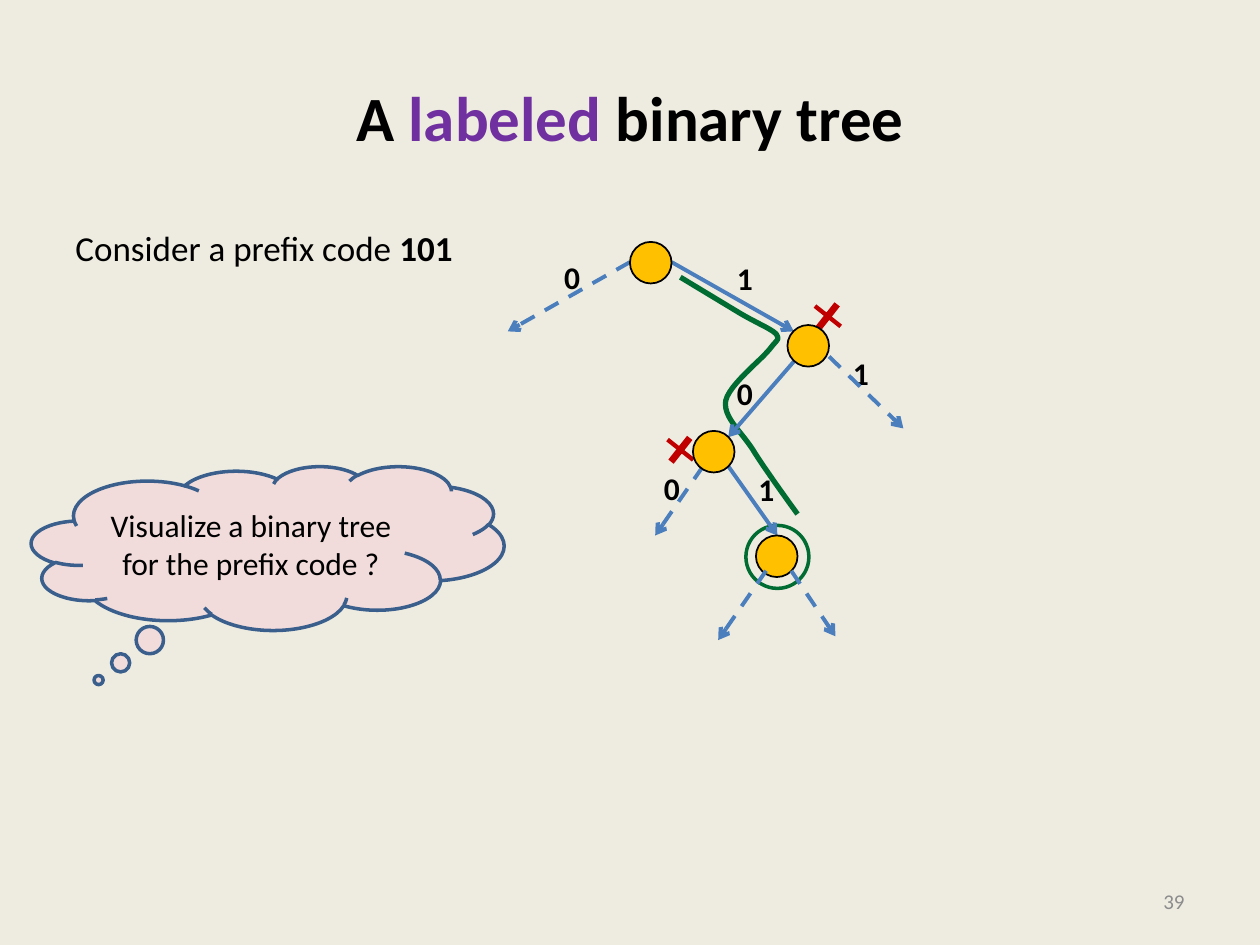
from lxml.etree import SubElement
from pptx import Presentation
from pptx.dml.color import RGBColor
from pptx.enum.dml import MSO_LINE
from pptx.enum.shapes import MSO_CONNECTOR, MSO_SHAPE
from pptx.enum.text import MSO_ANCHOR, PP_ALIGN
from pptx.oxml.ns import qn
from pptx.util import Inches, Pt

THEME = {
    "font": "Calibri", "background": "EEECE1", "text": "000000", "accent": "7030A0",
    "muted": "8C8C8C", "route": "006C31", "cross": "C00000", "edge": "4B7EBC",
    "node": "FFC000", "cloud": "F2DCDB", "cloud_line": "3A5F8C",
    "title_size": 36, "body_size": 20, "label_size": 18, "number_size": 12,
}


def write_text(shape, runs, size, align=PP_ALIGN.LEFT, anchor=MSO_ANCHOR.TOP, wrap=True):
    """Each run is (text, colour name, bold)."""
    frame = shape.text_frame
    frame.word_wrap = wrap
    frame.vertical_anchor = anchor
    paragraph = frame.paragraphs[0]
    paragraph.alignment = align
    for text, color, bold in runs:
        run = paragraph.add_run()
        run.text = text
        run.font.color.rgb = RGBColor.from_string(THEME[color])
        values = {"name": THEME["font"], "size": Pt(THEME[size]), "bold": bold}
        for name, value in values.items():
            setattr(run.font, name, value)
    return paragraph


def paint(shape, fill=None, line=None, width=0):
    shape.shadow.inherit = False
    for target, color in ((shape.fill, fill), (shape.line.fill, line)):
        if color:
            target.solid()
            target.fore_color.rgb = RGBColor.from_string(THEME[color])
        else:
            target.background()
    if line:
        shape.line.width = Pt(width)


presentation = Presentation()
presentation.slide_width, presentation.slide_height = Inches(10), Inches(7.5)
slide = presentation.slides.add_slide(presentation.slide_layouts[6])
slide.background.fill.solid()
slide.background.fill.fore_color.rgb = RGBColor.from_string(THEME["background"])
shapes = slide.shapes

# Title, body and slide number
title = shapes.add_textbox(Inches(0.5), Inches(0.3), Inches(9), Inches(1.25))
write_text(title, [("A ", "text", True), ("labeled", "accent", True),
                   (" binary tree", "text", True)],
           "title_size", PP_ALIGN.CENTER, MSO_ANCHOR.MIDDLE)
body = shapes.add_textbox(Inches(0.5), Inches(1.75), Inches(9), Inches(4.95))
paragraph = write_text(body, [("Consider a prefix code ", "text", False),
                              ("101", "text", True)], "body_size")
paragraph.space_before = Pt(4)
number = shapes.add_textbox(Inches(7.17), Inches(6.95), Inches(2.33), Inches(0.4))
write_text(number, [("39", "muted", False)], "number_size",
           PP_ALIGN.RIGHT, MSO_ANCHOR.MIDDLE)

# Route of the code: Bezier segments sampled into short steps
route_start = (5.4, 2.2)
route_curves = [
    ((6, 2.56), (6.12, 2.61), (6.16, 2.65)),
    ((6.19, 2.7), (6.17, 2.69), (6.11, 2.77)),
    ((6.04, 2.86), (5.79, 3.05), (5.76, 3.18)),
    ((5.74, 3.31), (5.87, 3.41), (5.97, 3.56)),
    ((6.06, 3.71), (6.33, 4.08), (6.33, 4.08)),
]
STEPS = 12
points = [(5.88, 2.49)]
for curve in route_curves:
    corners = (points[-1], *curve)
    for step in range(1, STEPS + 1):
        t = step / STEPS
        weights = ((1 - t) ** 3, 3 * t * (1 - t) ** 2, 3 * t ** 2 * (1 - t), t ** 3)
        points.append(tuple(sum(w * corner[axis] for w, corner in zip(weights, corners))
                            for axis in (0, 1)))
builder = shapes.build_freeform(Inches(route_start[0]), Inches(route_start[1]))
builder.add_line_segments([(Inches(x), Inches(y)) for x, y in points], close=False)
paint(builder.convert_to_shape(), line="route", width=3)

# Ring around the leaf
ring = shapes.add_shape(MSO_SHAPE.OVAL, Inches(5.92), Inches(4.17), Inches(0.5), Inches(0.5))
paint(ring, line="route", width=2)

# Crosses beside the inner nodes
for left, top in ((5.27, 3.45), (6.44, 2.39)):
    cross = shapes.add_shape(MSO_SHAPE.CROSS, Inches(left), Inches(top),
                             Inches(0.26), Inches(0.24))
    cross.adjustments[0] = 0.428
    cross.rotation = 38.3
    paint(cross, fill="cross")

# Edge labels
for bit, left, top in (("0", 4.38, 2), ("1", 5.75, 2.01), ("0", 5.75, 2.92),
                       ("0", 5.17, 3.67), ("1", 6.67, 2.76), ("1", 5.92, 3.68)):
    label = shapes.add_textbox(Inches(left), Inches(top), Inches(0.33), Inches(0.4))
    write_text(label, [(bit, "text", True)], "label_size", wrap=False)


# Edges, then the nodes above them, then the remaining edges
solid_edges = [(5.78, 3.7, 6.17, 4.25), (6.3, 2.87, 5.78, 3.47), (5.33, 2.08, 6.3, 2.63)]
lower_dashed = [(5, 2.08, 4.03, 2.63), (5.58, 3.7, 5.2, 4.25)]
upper_dashed = [(6.58, 2.83, 7.17, 3.4), (6.28, 4.53, 6.63, 5.05), (6.08, 4.53, 5.7, 5.08)]
nodes = [(6, 4.25), (5.5, 3.42), (6.25, 2.58), (5, 1.92)]
for edges, dash, nodes_after in ((lower_dashed, MSO_LINE.DASH, []),
                                 (solid_edges, None, nodes),
                                 (upper_dashed, MSO_LINE.DASH, [])):
    for edge in edges:
        connector = shapes.add_connector(MSO_CONNECTOR.STRAIGHT, *map(Inches, edge))
        connector.line.color.rgb = RGBColor.from_string(THEME["edge"])
        connector.line.width = Pt(2.25)
        if dash:
            connector.line.dash_style = dash
        properties = connector._element.spPr
        SubElement(properties.find(qn("a:ln")), qn("a:tailEnd"), type="arrow")
        SubElement(properties, qn("a:effectLst"))
    for left, top in nodes_after:
        node = shapes.add_shape(MSO_SHAPE.OVAL, Inches(left), Inches(top),
                                Inches(0.33), Inches(0.33))
        paint(node, "node", "text", 1)

# Thought cloud
cloud = shapes.add_shape(MSO_SHAPE.CLOUD_CALLOUT, Inches(0.25), Inches(3.7),
                         Inches(3.75), Inches(1.3))
cloud.adjustments[0], cloud.adjustments[1] = -0.358, 0.806
paint(cloud, "cloud", "cloud_line", 2)
write_text(cloud, [("Visualize a binary tree for the prefix code ?", "text", False)],
           "label_size", PP_ALIGN.CENTER, MSO_ANCHOR.MIDDLE)

presentation.save("out.pptx")
